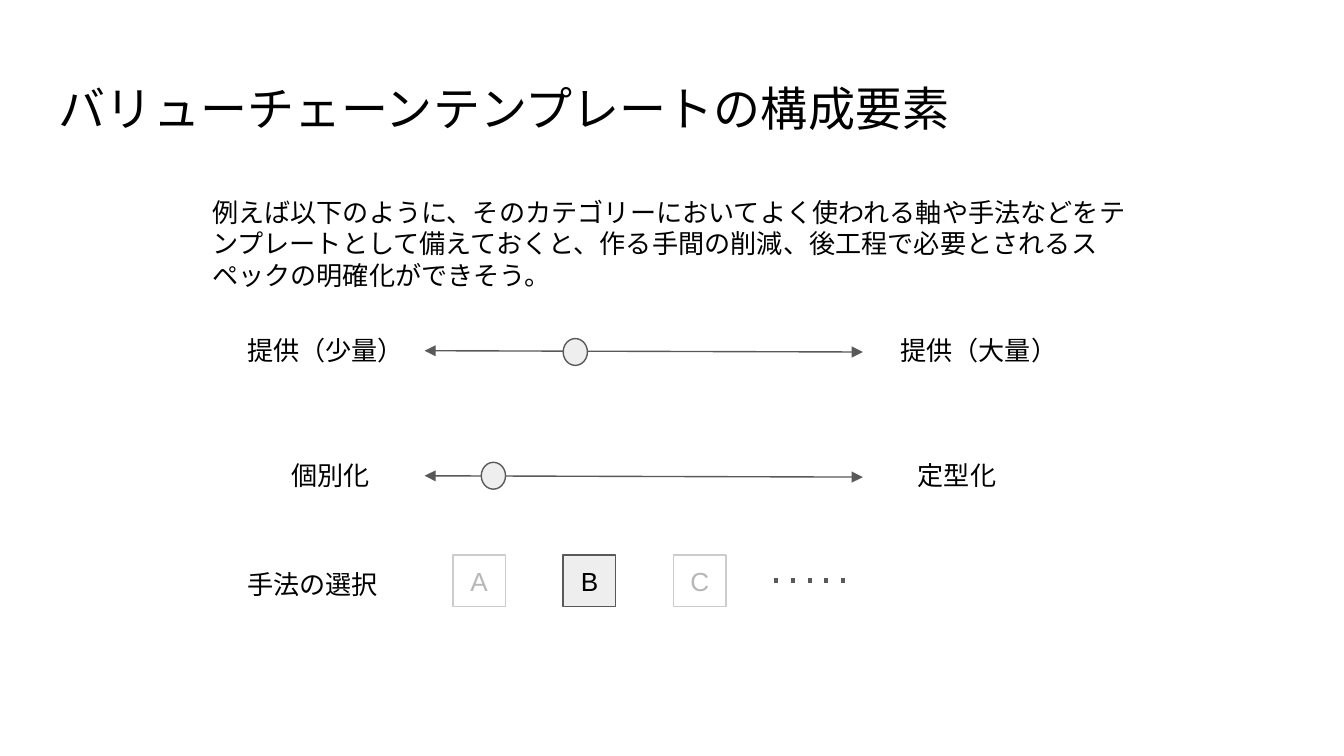
import pptx
import pptx.dml.color
import pptx.enum.lang
import pptx.enum.shapes
import pptx.enum.text
import pptx.oxml.ns
import pptx.util
from lxml import etree

Pt = pptx.util.Pt
RGBColor = pptx.dml.color.RGBColor
Shape = pptx.enum.shapes.MSO_SHAPE
Align = pptx.enum.text.PP_ALIGN
Anchor = pptx.enum.text.MSO_ANCHOR
qn = pptx.oxml.ns.qn

BLACK = RGBColor(0x00, 0x00, 0x00)
WHITE = RGBColor(0xFF, 0xFF, 0xFF)
DARK_GRAY = RGBColor(0x59, 0x59, 0x59)
MID_GRAY = RGBColor(0xB7, 0xB7, 0xB7)
LINE_GRAY = RGBColor(0xCC, 0xCC, 0xCC)
PALE_GRAY = RGBColor(0xEE, 0xEE, 0xEE)


def write_text(shape, text, *, font="Arial", size=14, color=BLACK,
               align=Align.LEFT, anchor=Anchor.TOP, inset=7.2):
    """Put one formatted paragraph in a shape."""
    frame = shape.text_frame
    frame.word_wrap = True
    frame.vertical_anchor = anchor
    frame.margin_left = frame.margin_right = Pt(inset)
    frame.margin_top = frame.margin_bottom = Pt(inset)
    para = frame.paragraphs[0]
    para.alignment = align
    span = para.add_run()
    span.text = text
    span.font.size = Pt(size)
    span.font.color.rgb = color
    span.font.name = font
    span.font.language_id = pptx.enum.lang.MSO_LANGUAGE_ID.JAPANESE
    etree.SubElement(span.font._element, qn("a:ea"), typeface=font)


class Painter:
    """Holds the line style and the page being drawn."""

    line_width = 0.75

    def __init__(self, page):
        self.page = page

    def label(self, text, left, top, width, height=31.5, **style):
        box = self.page.shapes.add_textbox(Pt(left), Pt(top), Pt(width), Pt(height))
        write_text(box, text, **style)

    def shape(self, kind, left, top, width, height, fill, line):
        shape = self.page.shapes.add_shape(kind, Pt(left), Pt(top), Pt(width), Pt(height))
        shape.shadow.inherit = False
        shape.fill.solid()
        shape.fill.fore_color.rgb = fill
        shape.line.color.rgb = line
        shape.line.width = Pt(self.line_width)
        return shape

    def line(self, x1, y1, x2, y2, width=line_width, dash=None, arrows=False):
        line = self.page.shapes.add_connector(
            pptx.enum.shapes.MSO_CONNECTOR.STRAIGHT, Pt(x1), Pt(y1), Pt(x2), Pt(y2))
        line.line.color.rgb = DARK_GRAY
        line.line.width = Pt(width)
        outline = line.line._get_or_add_ln()
        if dash:
            etree.SubElement(outline, qn("a:prstDash"), val=dash)
        if arrows:
            for end in ("a:headEnd", "a:tailEnd"):
                etree.SubElement(outline, qn(end), type="triangle")
        etree.SubElement(line._element.spPr, qn("a:effectLst"))

    def slider(self, axis_y, knob_left, knob_top):
        self.line(227.5, axis_y, 462.25, axis_y + 0.7, arrows=True)
        self.shape(Shape.OVAL, knob_left, knob_top, 13, 14.4, PALE_GRAY, DARK_GRAY)

    def option(self, text, left, chosen):
        fill, line, color = ((PALE_GRAY, DARK_GRAY, BLACK) if chosen
                             else (WHITE, LINE_GRAY, MID_GRAY))
        tile = self.shape(Shape.RECTANGLE, left, 297.4, 28.2, 27.4, fill, line)
        write_text(tile, text, color=color, align=Align.CENTER, anchor=Anchor.MIDDLE)


def main():
    deck = pptx.Presentation()
    deck.slide_width, deck.slide_height = Pt(720), Pt(405)
    painter = Painter(deck.slides.add_slide(deck.slide_layouts[6]))

    # Title and introduction
    painter.label("バリューチェーンテンプレートの構成要素", 24.5, 35.3, 671, 45, size=25.2)
    painter.label("例えば以下のように、そのカテゴリーにおいてよく使われる軸や手法などを"
                  "テンプレートとして備えておくと、作る手間の削減、後工程で必要とされる"
                  "スペックの明確化ができそう。", 106.5, 98, 508.5, 65.5)

    # Quantity axis
    painter.label("提供（少量）", 125.3, 172, 102.2)
    painter.label("提供（大量）", 475.2, 172, 102.2)
    painter.slider(187.9, 301.7, 181.4)

    # Customisation axis
    painter.label("個別化", 149, 239, 67.7)
    painter.label("定型化", 484.6, 239, 67.7)
    painter.slider(254.9, 257.8, 247.7)

    # Choice of method
    painter.label("手法の選択", 125.3, 297.4, 85.7)
    for index, name in enumerate("ABC"):
        painter.option(name, 242.6 + 59.1 * index, chosen=name == "B")
    painter.line(414.7, 311, 455, 311, width=2.25, dash="dot")

    deck.save("out.pptx")


if __name__ == "__main__":
    main()
